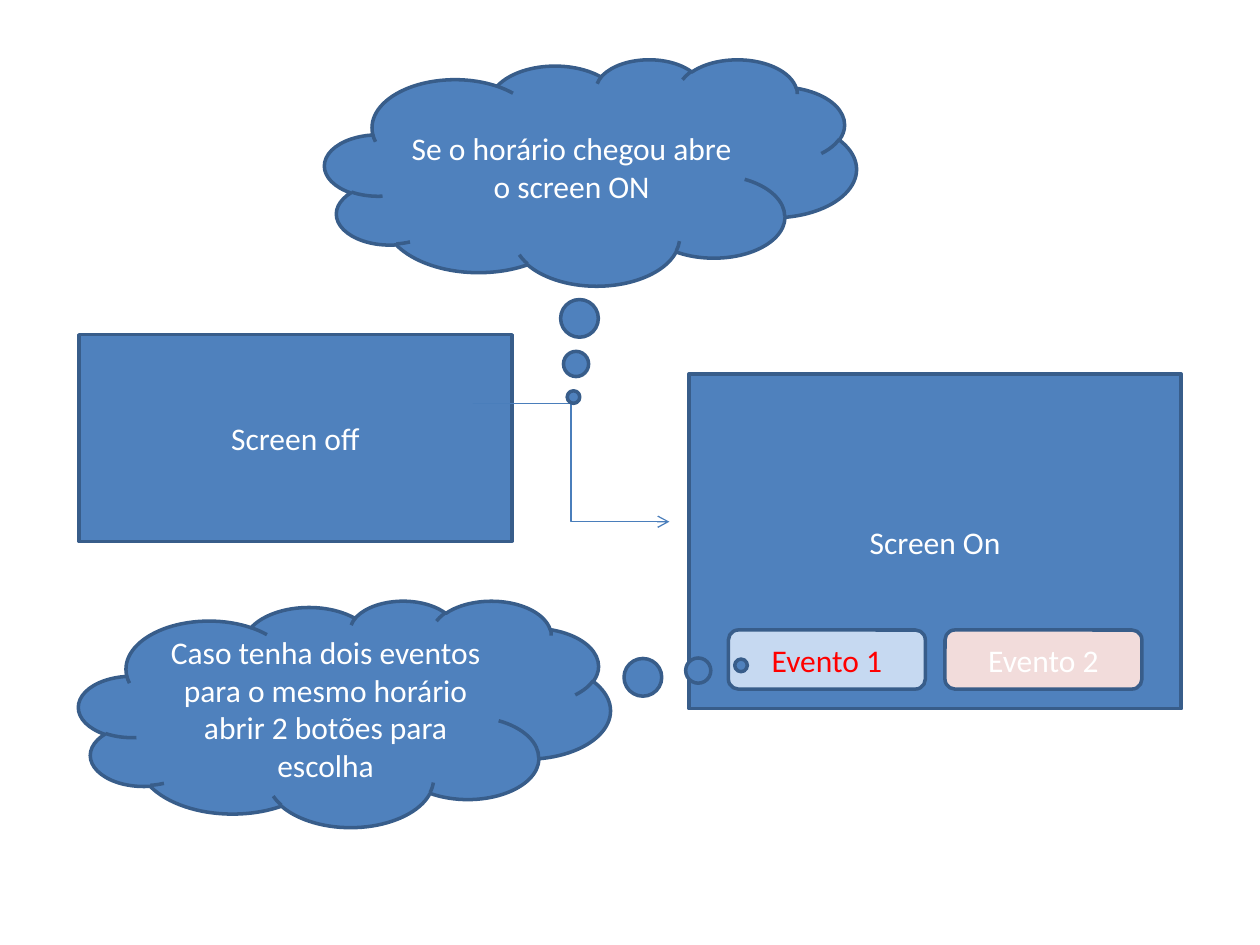
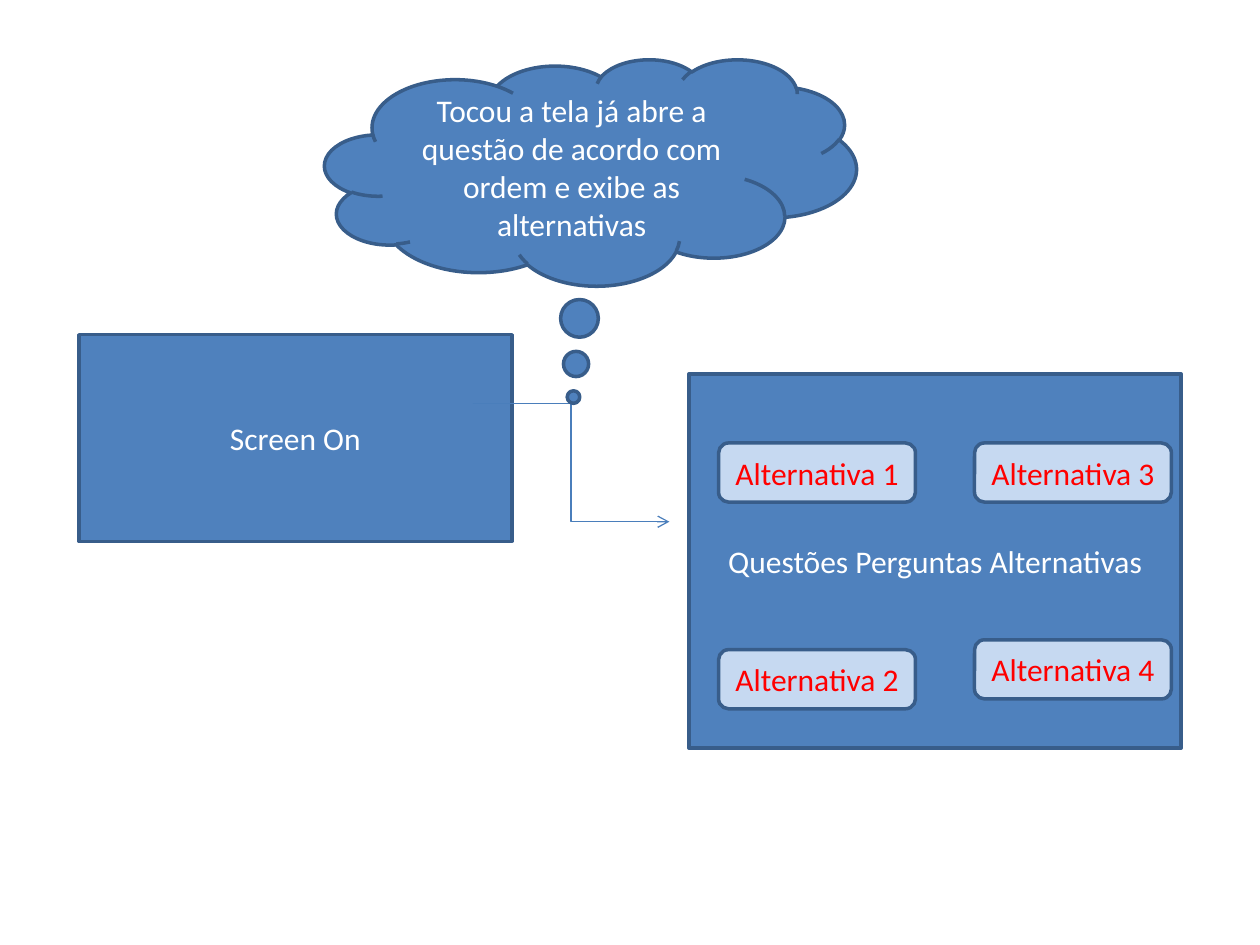
from pptx import Presentation
from pptx.dml.color import RGBColor
from pptx.enum.shapes import MSO_CONNECTOR as Connector, MSO_SHAPE as Shape
from pptx.enum.text import MSO_ANCHOR as Anchor, PP_ALIGN as Align
from pptx.oxml.ns import qn
from pptx.util import Inches, Pt
from lxml import etree

COLUMNS, ROWS = 128, 96
BLUE, OUTLINE, ARROW = "4F81BD", "385D8A", "4A7EBB"
PALE_BLUE, PALE_PINK = "C6D9F1", "F2DCDB"
WHITE, RED = "FFFFFF", "FF0000"
BUTTON_WIDTH, BUTTON_HEIGHT = 20, 6


def rgb(value):
    return RGBColor.from_string(value)


class Storyboard:
    """Draws screens, buttons, thoughts and arrows on a 128 by 96 grid."""

    def __init__(self):
        self.deck = Presentation()
        self.deck.slide_width, self.deck.slide_height = Inches(10), Inches(7.5)
        self.slide = None

    def new_slide(self):
        self.slide = self.deck.slides.add_slide(self.deck.slide_layouts[6])

    def x(self, columns):
        return round(self.deck.slide_width * columns / COLUMNS)

    def y(self, rows):
        return round(self.deck.slide_height * rows / ROWS)

    def box(self, kind, left, top, width, height, label, fill=BLUE, ink=WHITE):
        box = self.slide.shapes.add_shape(
            kind, self.x(left), self.y(top), self.x(width), self.y(height))
        box.shadow.inherit = False
        box.fill.solid()
        box.fill.fore_color.rgb = rgb(fill)
        box.line.color.rgb = rgb(OUTLINE)
        box.line.width = Pt(2)
        self.add_label(box.text_frame, label, ink)
        return box

    def add_label(self, frame, label, ink):
        """Centres the label; a newline in it becomes a line break."""
        frame.word_wrap = True
        frame.vertical_anchor = Anchor.MIDDLE
        paragraph = frame.paragraphs[0]
        paragraph.alignment = Align.CENTER
        for number, line in enumerate(label.split("\n")):
            if number:
                paragraph.add_line_break()
            run = paragraph.add_run()
            run.text = line
            run.font.name, run.font.size = "Calibri", Pt(18)
            run.font.color.rgb = rgb(ink)

    def first_screen(self, label):
        self.box(Shape.RECTANGLE, 8, 34, 44, 21, label)

    def next_screen(self, label, height):
        self.box(Shape.RECTANGLE, 70, 38, 50, height, label)

    def button(self, left, top, label, fill=PALE_BLUE, ink=RED):
        self.box(Shape.ROUNDED_RECTANGLE, left, top,
                 BUTTON_WIDTH, BUTTON_HEIGHT, label, fill, ink)

    def thought(self, left, top, label, pointer):
        cloud = self.box(Shape.CLOUD_CALLOUT, left, top, 54, 23, label)
        cloud.adjustments[0], cloud.adjustments[1] = pointer

    def arrow(self, left, top, right, bottom):
        arrow = self.slide.shapes.add_connector(
            Connector.ELBOW, self.x(left), self.y(top), self.x(right), self.y(bottom))
        arrow.line.color.rgb = rgb(ARROW)
        arrow.line.width = Pt(0.75)
        properties = arrow._element.spPr
        etree.SubElement(properties.find(qn("a:ln")), qn("a:tailEnd"), type="arrow")
        etree.SubElement(properties, qn("a:effectLst"))

    def transition(self, before, after, after_height, reason):
        """Starts a slide where one screen leads to the next for a reason."""
        self.new_slide()
        self.first_screen(before)
        self.next_screen(after, after_height)
        self.arrow(48, 41, 68, 53)
        self.thought(33, 6, reason, (-0.032, 0.993))


def main():
    board = Storyboard()

    board.transition("Screen off", "Screen On", 34,
                     "Se o horário chegou abre o screen ON")
    board.button(74, 64, "Evento 1")
    board.button(96, 64, "Evento 2", PALE_PINK, WHITE)
    board.thought(8, 61, "Caso tenha dois eventos para o mesmo horário\n"
                  "abrir 2 botões para escolha", (0.746, -0.213))

    board.transition("Screen On", "Questões Perguntas Alternativas", 38,
                     "Tocou a tela já abre a questão de acordo com ordem "
                     "e exibe as alternativas")
    places = [(73, 45), (73, 66), (99, 45), (99, 65)]
    for number, (left, top) in enumerate(places, start=1):
        board.button(left, top, f"Alternativa {number}")

    board.deck.save("out.pptx")


if __name__ == "__main__":
    main()
